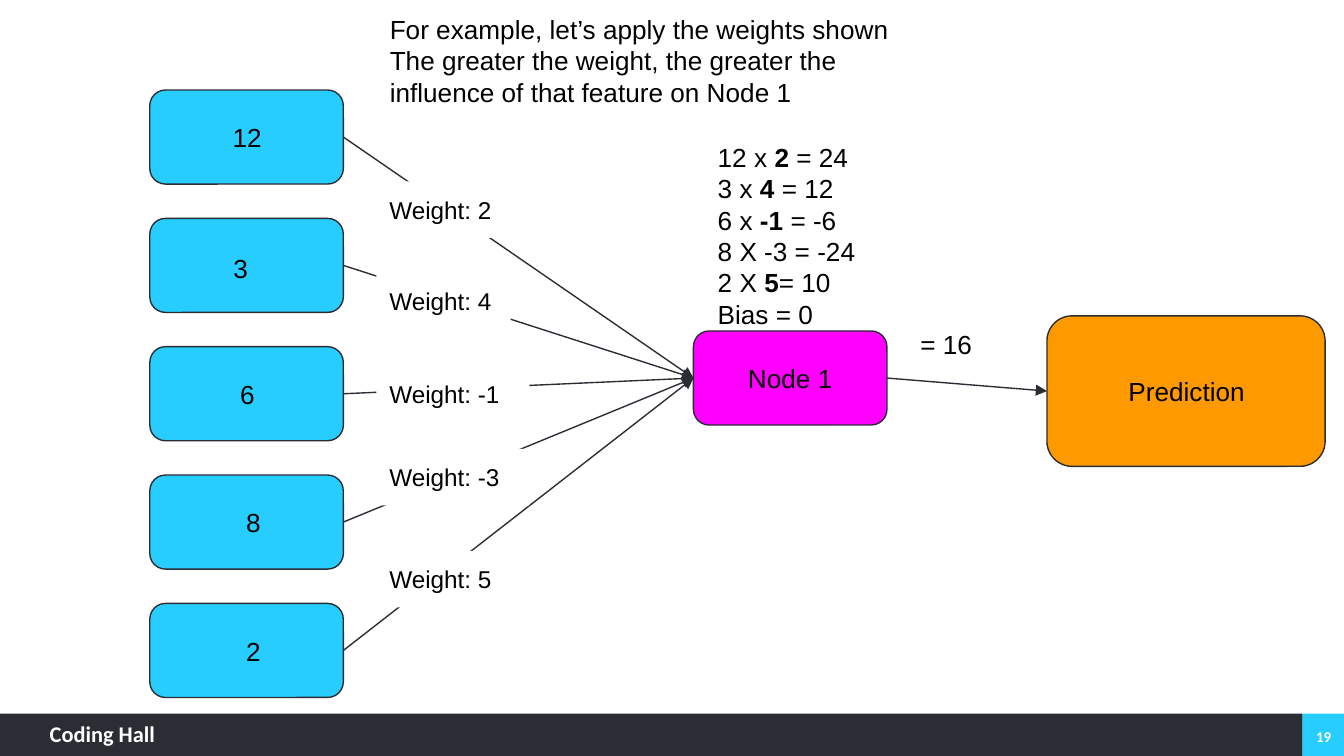
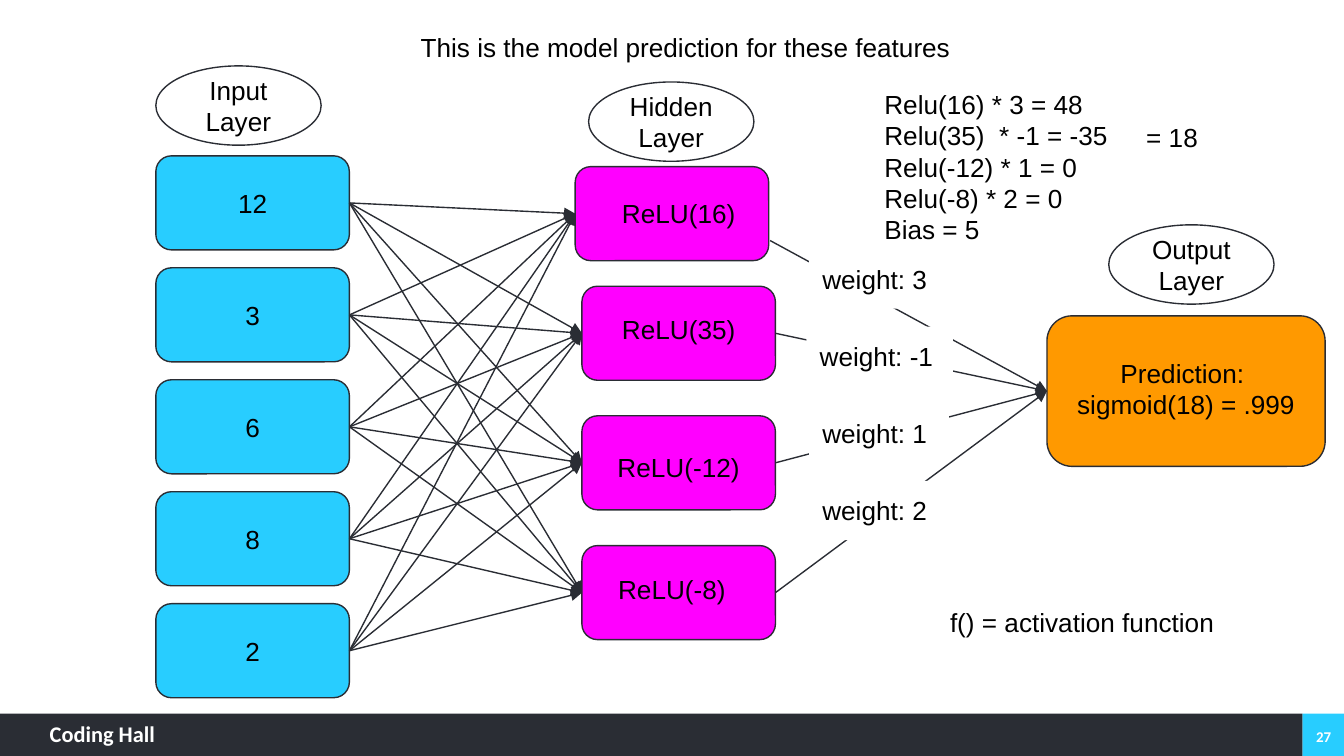
from dataclasses import dataclass, field
from itertools import product
from typing import NamedTuple

from lxml.etree import SubElement
from pptx import Presentation
from pptx.dml.color import RGBColor
from pptx.enum.shapes import MSO_CONNECTOR, MSO_SHAPE as Preset
from pptx.enum.text import MSO_ANCHOR as Anchor, MSO_AUTO_SIZE as AutoSize, PP_ALIGN as Align
from pptx.oxml.ns import qn
from pptx.shapes.autoshape import Shape
from pptx.slide import Slide, SlideLayout
from pptx.text.text import TextFrame
from pptx.util import Inches, Pt

# Square grid: 100 columns across, each cell a hundredth of the slide's width
WIDTH = Inches(10)
HEIGHT = WIDTH * 9 // 16
CELL = WIDTH // 100


@dataclass(frozen=True)
class Theme:
    ink: str = "2A2D34"
    text: str = "000000"
    paper: str = "FFFFFF"
    input: str = "28CDFF"
    hidden: str = "FF00FF"
    output: str = "FF9900"
    font: str = "Arial"
    footer_font: str = "Calibri"
    size: float = 14
    small: float = 13
    brand_size: float = 12
    number_size: float = 8
    line: float = 0.75


THEME = Theme()


class Place(NamedTuple):
    """Left, top, width and height in grid cells."""
    left: float
    top: float
    width: float
    height: float

    def lengths(self) -> list[int]:
        return [round(value * CELL) for value in self]


class Span(NamedTuple):
    text: str
    bold: bool = False


Lines = list[tuple[Span, ...]]


@dataclass(frozen=True)
class Style:
    size: float = THEME.size
    font: str = THEME.font
    colour: str = THEME.text
    align: Align = Align.LEFT
    anchor: Anchor = Anchor.TOP
    inset: tuple[float, float] = (1, 1)
    bold: bool = False


PLAIN = Style()
CENTRED = Style(align=Align.CENTER)
BADGE = Style(align=Align.CENTER, anchor=Anchor.MIDDLE)
SMALL = Style(size=THEME.small)
BRAND = Style(THEME.brand_size, THEME.footer_font, THEME.paper, inset=(0, 0), bold=True)
NUMBER = Style(THEME.number_size, THEME.footer_font, THEME.paper,
               Align.CENTER, Anchor.MIDDLE, (0.7, 0.4), True)


class Node(NamedTuple):
    """A rounded box and its caption, offset from the box's corner."""
    place: Place
    fill: str
    lines: Lines
    shift: tuple[float, float]
    caption_size: tuple[float, float] = (11.4, 4.4)


class Label(NamedTuple):
    place: Place
    text: str


@dataclass(frozen=True)
class Page:
    number: str
    heading: Lines
    heading_place: Place
    sums: Lines
    sums_place: Place
    inputs: list[Node]
    hidden: list[Node]
    output: Node
    weights: list[Label]
    weight_style: Style
    notes: list[Label]
    badges: list[Label] = field(default_factory=list)


def plain(*texts: str) -> Lines:
    return [(Span(text),) for text in texts]


def write(frame: TextFrame, lines: Lines, style: Style) -> None:
    frame.word_wrap = True
    frame.auto_size = AutoSize.NONE
    frame.vertical_anchor = style.anchor
    across, down = (round(value * CELL) for value in style.inset)
    frame.margin_left = frame.margin_right = across
    frame.margin_top = frame.margin_bottom = down
    for index, line in enumerate(lines):
        para = frame.paragraphs[0] if index == 0 else frame.add_paragraph()
        para.alignment = style.align
        for span in line:
            run = para.add_run()
            run.text = span.text
            run.font.size = Pt(style.size)
            run.font.name = style.font
            run.font.bold = span.bold or style.bold
            run.font.color.rgb = RGBColor.from_string(style.colour)


def add_text(page: Slide, place: Place, lines: Lines, style: Style = PLAIN) -> Shape:
    box = page.shapes.add_textbox(*place.lengths())
    write(box.text_frame, lines, style)
    return box


def add_box(page: Slide, preset: Preset, place: Place, fill: str, outlined: bool = True) -> Shape:
    box = page.shapes.add_shape(preset, *place.lengths())
    box.shadow.inherit = False
    box.fill.solid()
    box.fill.fore_color.rgb = RGBColor.from_string(fill)
    if outlined:
        box.line.color.rgb = RGBColor.from_string(THEME.ink)
        box.line.width = Pt(THEME.line)
    else:
        box.line.fill.background()
    return box


def add_node(page: Slide, node: Node) -> Shape:
    box = add_box(page, Preset.ROUNDED_RECTANGLE, node.place, node.fill)
    caption = Place(node.place.left + node.shift[0], node.place.top + node.shift[1],
                    *node.caption_size)
    add_text(page, caption, node.lines, CENTRED)
    return box


def add_arrow(page: Slide, source: Shape, target: Shape,
              start: tuple[float, float] | None = None) -> None:
    """Arrow from source's right side, or from a free start point, to target's left."""
    x, y = (round(value * CELL) for value in start or (0, 0))
    arrow = page.shapes.add_connector(MSO_CONNECTOR.STRAIGHT, x, y, x, y)
    if start is None:
        arrow.begin_connect(source, 3)
    arrow.end_connect(target, 1)
    arrow.line.color.rgb = RGBColor.from_string(THEME.ink)
    arrow.line.width = Pt(THEME.line)
    SubElement(arrow.line._get_or_add_ln(), qn("a:tailEnd"), type="triangle")
    SubElement(arrow._element.spPr, qn("a:effectLst"))


def fill_placeholder(holder: Shape, place: Place, lines: Lines) -> None:
    holder.left, holder.top, holder.width, holder.height = place.lengths()
    write(holder.text_frame, lines, PLAIN)
    for para in holder.text_frame.paragraphs:
        para.space_before = Pt(0)
        properties = para._p.get_or_add_pPr()
        properties.set("marL", "0")
        properties.set("indent", "0")
        SubElement(properties, qn("a:buNone"))


def move_footer_to_layout(page: Slide, layout: SlideLayout) -> None:
    """Draw the footer once and hand it to the layout that all pages share."""
    for owner in (layout, layout.slide_master):
        for holder in list(owner.placeholders)[2:]:
            holder.element.getparent().remove(holder.element)
    parts = [
        add_box(page, Preset.RECTANGLE, Place(96.9, 53.1, 3.1, 3.15), THEME.input, False),
        add_box(page, Preset.RECTANGLE, Place(0, 53.1, 96.9, 3.15), THEME.ink, False),
        add_text(page, Place(3.7, 53.6, 15.7, 2.3), plain("Coding Hall"), BRAND),
    ]
    for part in parts:
        layout.shapes.element.append(part.element)


def draw(slide: Slide, page: Page) -> None:
    fill_placeholder(slide.shapes.title, page.heading_place, page.heading)
    fill_placeholder(slide.placeholders[1], page.sums_place, page.sums)
    add_text(slide, Place(97, 53.3, 3, 2.95), plain(page.number), NUMBER)
    inputs = [add_node(slide, node) for node in page.inputs]
    hidden = [add_node(slide, node) for node in page.hidden]
    output = add_node(slide, page.output)
    for target, source in product(hidden, inputs):
        add_arrow(slide, source, target)
    for index, source in enumerate(hidden):
        low_start = (57.3, 17.9) if index == 0 and len(hidden) > 1 else None
        add_arrow(slide, source, output, low_start)
    for badge in page.badges:
        oval = add_box(slide, Preset.OVAL, badge.place, THEME.paper)
        write(oval.text_frame, plain(badge.text), BADGE)
    for weight in page.weights:
        box = add_box(slide, Preset.RECTANGLE, weight.place, THEME.paper, False)
        write(box.text_frame, plain(weight.text), page.weight_style)
    for note in page.notes:
        add_text(slide, note.place, plain(note.text))


BOX = (14.4, 7)
FEATURES = ("12", "3", "6", "8", "2")
OUTPUT_PLACE = Place(77.9, 23.5, 20.7, 11.2)


def input_column(left: float, top: float, step: float,
                 shifts: list[tuple[float, float]]) -> list[Node]:
    return [Node(Place(left, top + row * step, *BOX), THEME.input, plain(text), shift)
            for row, (text, shift) in enumerate(zip(FEATURES, shifts))]


def hidden_node(left: float, top: float, text: str, shift: tuple[float, float]) -> Node:
    return Node(Place(left, top, *BOX), THEME.hidden, plain(text), shift)


WEIGHTS_PAGE = Page(
    number="19",
    heading=plain("For example, let’s apply the weights shown",
                  "The greater the weight, the greater the influence of that feature on Node 1"),
    heading_place=Place(28, 0, 40.9, 13.8),
    sums=[
        (Span("12 x "), Span("2 ", True), Span("= 24")),
        (Span("3 x "), Span("4 ", True), Span("= 12")),
        (Span("6 x "), Span("-1 ", True), Span("= -6")),
        (Span("8 X -3 = -24"),),
        (Span("2 X "), Span("5", True), Span("= 10")),
        (Span("Bias = 0"),),
    ],
    sums_place=Place(52.4, 9.5, 12.9, 16.2),
    inputs=input_column(11.15, 6.7, 9.55,
                        [(1.55, 1.35), (1.05, 1.55), (1.55, 1.35), (2, 1.35), (2, 1.4)]),
    hidden=[hidden_node(51.6, 24.63, "Node 1", (1.5, 1.3))],
    output=Node(OUTPUT_PLACE, THEME.output, plain("Prediction"), (3.2, 3.4), (14.4, 4.4)),
    weights=[Label(Place(28, top, width, 4.2), f"Weight: {value}")
             for top, width, value in ((13.5, 10, 2), (20.3, 10, 4), (27.25, 11.4, -1),
                                       (33.4, 11.4, -3), (41, 10, 5))],
    weight_style=SMALL,
    notes=[Label(Place(67.5, 23.4, 8, 4.4), "= 16")],
)

PREDICTION_PAGE = Page(
    number="27",
    heading=plain("This is the model prediction for these features"),
    heading_place=Place(30.3, 1.3, 48.5, 6.7),
    sums=plain("Relu(16) * 3 = 48", "Relu(35)  * -1 = -35", "Relu(-12) * 1 = 0",
               "Relu(-8) * 2 = 0", "Bias = 5"),
    sums_place=Place(64.8, 5.57, 20.2, 13.8),
    inputs=input_column(11.6, 11.6, 8.33, [(1.5, 1.35)] * len(FEATURES)),
    hidden=[
        hidden_node(42.8, 12.4, "ReLU(16)", (2, 1.3)),
        hidden_node(43.3, 21.3, "ReLU(35)", (1.5, 1)),
        hidden_node(43.3, 30.94, "ReLU(-12)", (1.5, 1.66)),
        hidden_node(43.3, 40.6, "ReLU(-8)", (1, 1.1)),
    ],
    output=Node(OUTPUT_PLACE, THEME.output, plain("Prediction: ", "sigmoid(18) = .999"),
                (0, 2.1), (20.7, 6.7)),
    weights=[Label(Place(left, 18.57 + row * 5.74, width, 4.4), f"weight: {value}")
             for row, (left, width, value) in enumerate(
                 ((60.2, 12.7, 3), (60, 10.9, -1), (60.2, 10.4, 1), (60.2, 12.7, 2)))],
    weight_style=PLAIN,
    notes=[Label(Place(84.3, 8.07, 6.5, 4.4), "= 18"),
           Label(Place(69.7, 44.1, 21.8, 4.4), "f() = activation function")],
    badges=[Label(Place(left, top, 12.3, 5.9), f"{name} Layer")
            for left, top, name in ((11.6, 4.9, "Input"), (43.8, 6.1, "Hidden"),
                                    (82.5, 16.73, "Output"))],
)


def main() -> None:
    deck = Presentation()
    deck.slide_width, deck.slide_height = WIDTH, HEIGHT
    layout = deck.slide_layouts[1]
    pages = (WEIGHTS_PAGE, PREDICTION_PAGE)
    slides = [deck.slides.add_slide(layout) for _ in pages]
    move_footer_to_layout(slides[0], layout)
    for slide, page in zip(slides, pages):
        draw(slide, page)
    deck.save("out.pptx")


if __name__ == "__main__":
    main()
